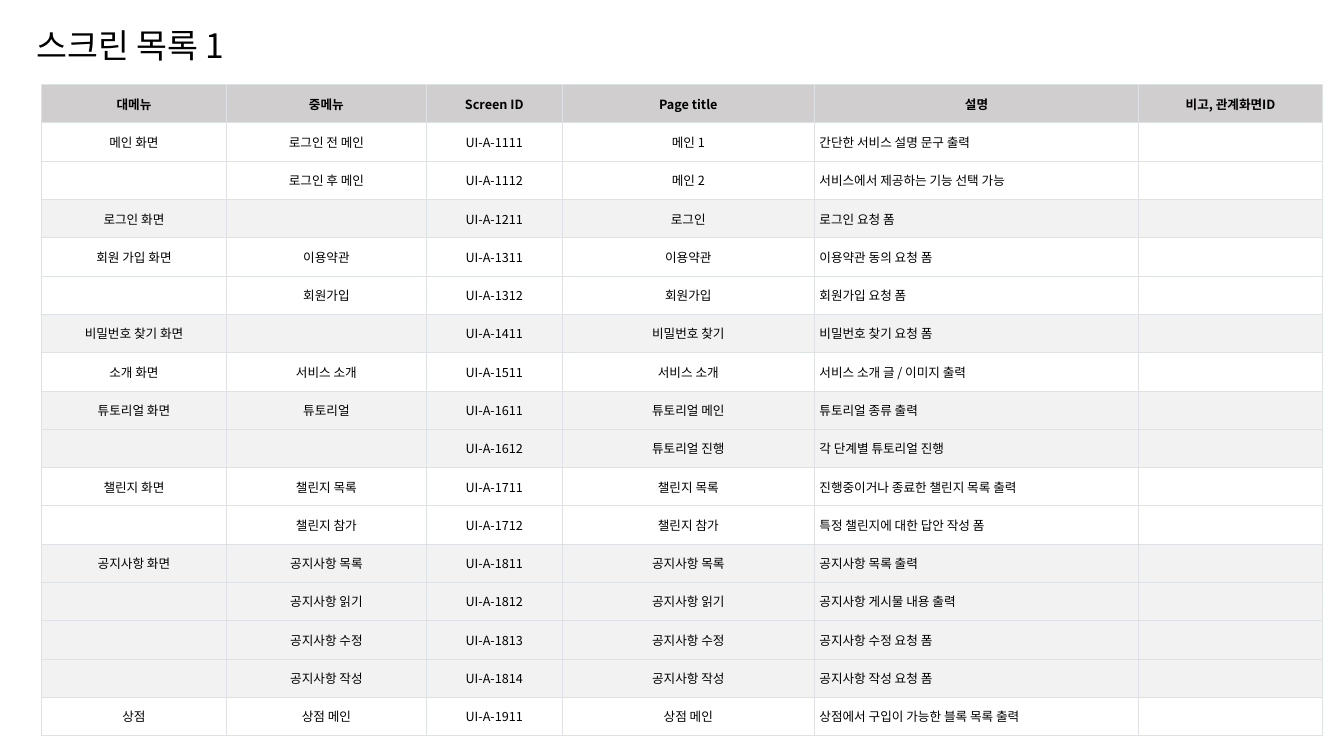
from lxml.etree import SubElement
from pptx import Presentation
from pptx.dml.color import RGBColor
from pptx.enum.text import MSO_ANCHOR as Anchor, MSO_AUTO_SIZE as AutoSize, PP_ALIGN as Align
from pptx.oxml.ns import qn
from pptx.util import Cm, Pt

FONT = "Noto Sans CJK KR"
COLORS = {
    "text": "000000",
    "header": "D0CECE",
    "white": "FFFFFF",
    "gray": "F2F2F2",
    "border": "DFE2E5",
}
COLUMN_WIDTHS = [4.67, 5.03, 3.43, 6.35, 8.18, 4.62]
TABLE_HEIGHT = 16.42
HEADER = ["대메뉴", "중메뉴", "Screen ID", "Page title", "설명", "비고, 관계화면ID"]
SCREENS = [
    ["메인 화면", "로그인 전 메인", "UI-A-1111", "메인 1", "간단한 서비스 설명 문구 출력", ""],
    ["", "로그인 후 메인", "UI-A-1112", "메인 2", "서비스에서 제공하는 기능 선택 가능", ""],
    ["로그인 화면", "", "UI-A-1211", "로그인", "로그인 요청 폼", ""],
    ["회원 가입 화면", "이용약관", "UI-A-1311", "이용약관", "이용약관 동의 요청 폼", ""],
    ["", "회원가입", "UI-A-1312", "회원가입", "회원가입 요청 폼", ""],
    ["비밀번호 찾기 화면", "", "UI-A-1411", "비밀번호 찾기", "비밀번호 찾기 요청 폼", ""],
    ["소개 화면", "서비스 소개", "UI-A-1511", "서비스 소개", "서비스 소개 글 / 이미지 출력", ""],
    ["튜토리얼 화면", "튜토리얼", "UI-A-1611", "튜토리얼 메인", "튜토리얼 종류 출력", ""],
    ["", "", "UI-A-1612", "튜토리얼 진행", "각 단계별 튜토리얼 진행", ""],
    ["챌린지 화면", "챌린지 목록", "UI-A-1711", "챌린지 목록", "진행중이거나 종료한 챌린지 목록 출력", ""],
    ["", "챌린지 참가", "UI-A-1712", "챌린지 참가", "특정 챌린지에 대한 답안 작성 폼", ""],
    ["공지사항 화면", "공지사항 목록", "UI-A-1811", "공지사항 목록", "공지사항 목록 출력", ""],
    ["", "공지사항 읽기", "UI-A-1812", "공지사항 읽기", "공지사항 게시물 내용 출력", ""],
    ["", "공지사항 수정", "UI-A-1813", "공지사항 수정", "공지사항 수정 요청 폼", ""],
    ["", "공지사항 작성", "UI-A-1814", "공지사항 작성", "공지사항 작성 요청 폼", ""],
    ["상점", "상점 메인", "UI-A-1911", "상점 메인", "상점에서 구입이 가능한 블록 목록 출력", ""],
]


def write_text(frame, text, size=9, bold=False, align=Align.CENTER):
    paragraph = frame.paragraphs[0]
    paragraph.alignment = align
    if not text:
        SubElement(paragraph._p, qn("a:endParaRPr"), sz=str(size * 100))
        return
    run = paragraph.add_run()
    run.text = text
    run.font.size = Pt(size)
    run.font.bold = bold
    run.font.color.rgb = RGBColor.from_string(COLORS["text"])
    run.font.name = FONT
    SubElement(run.font._element, qn("a:ea"), typeface=FONT)


def set_borders(cell):
    properties = cell._tc.get_or_add_tcPr()
    for position, side in enumerate(["a:lnL", "a:lnR", "a:lnT", "a:lnB"]):
        line = properties.makeelement(qn(side), {"w": str(Pt(0.6))})
        fill = SubElement(line, qn("a:solidFill"))
        SubElement(fill, qn("a:srgbClr"), val=COLORS["border"])
        properties.insert(position, line)


presentation = Presentation()
presentation.slide_width = Cm(33.87)
presentation.slide_height = Cm(19.05)
slide = presentation.slides.add_slide(presentation.slide_layouts[5])

title = slide.shapes.title
title.left, title.top, title.width, title.height = Cm(0.66), Cm(0.51), Cm(6.05), Cm(1.27)
title.text_frame.word_wrap = False
title.text_frame.auto_size = AutoSize.SHAPE_TO_FIT_TEXT
title.text_frame.vertical_anchor = Anchor.TOP
write_text(title.text_frame, "스크린 목록 1", size=24, align=Align.LEFT)

rows = [HEADER] + SCREENS
table = slide.shapes.add_table(
    len(rows), len(HEADER), Cm(1.04), Cm(2.13), Cm(sum(COLUMN_WIDTHS)), Cm(TABLE_HEIGHT)
).table
for column, width in zip(table.columns, COLUMN_WIDTHS):
    column.width = Cm(width)

menu_count = 0
for row_index, values in enumerate(rows):
    table.rows[row_index].height = Cm(TABLE_HEIGHT / len(rows))
    is_header = row_index == 0
    if values[0] and not is_header:
        menu_count += 1
    row_color = "header" if is_header else "white" if menu_count % 2 else "gray"
    for column_index, text in enumerate(values):
        cell = table.cell(row_index, column_index)
        cell.margin_left = cell.margin_right = Cm(0.13)
        cell.margin_top = cell.margin_bottom = Cm(0.05)
        cell.vertical_anchor = Anchor.MIDDLE
        cell.fill.solid()
        cell.fill.fore_color.rgb = RGBColor.from_string(COLORS[row_color])
        set_borders(cell)
        is_description = HEADER[column_index] == "설명" and not is_header
        align = Align.LEFT if is_description else Align.CENTER
        write_text(cell.text_frame, text, bold=is_header, align=align)

presentation.save("out.pptx")
